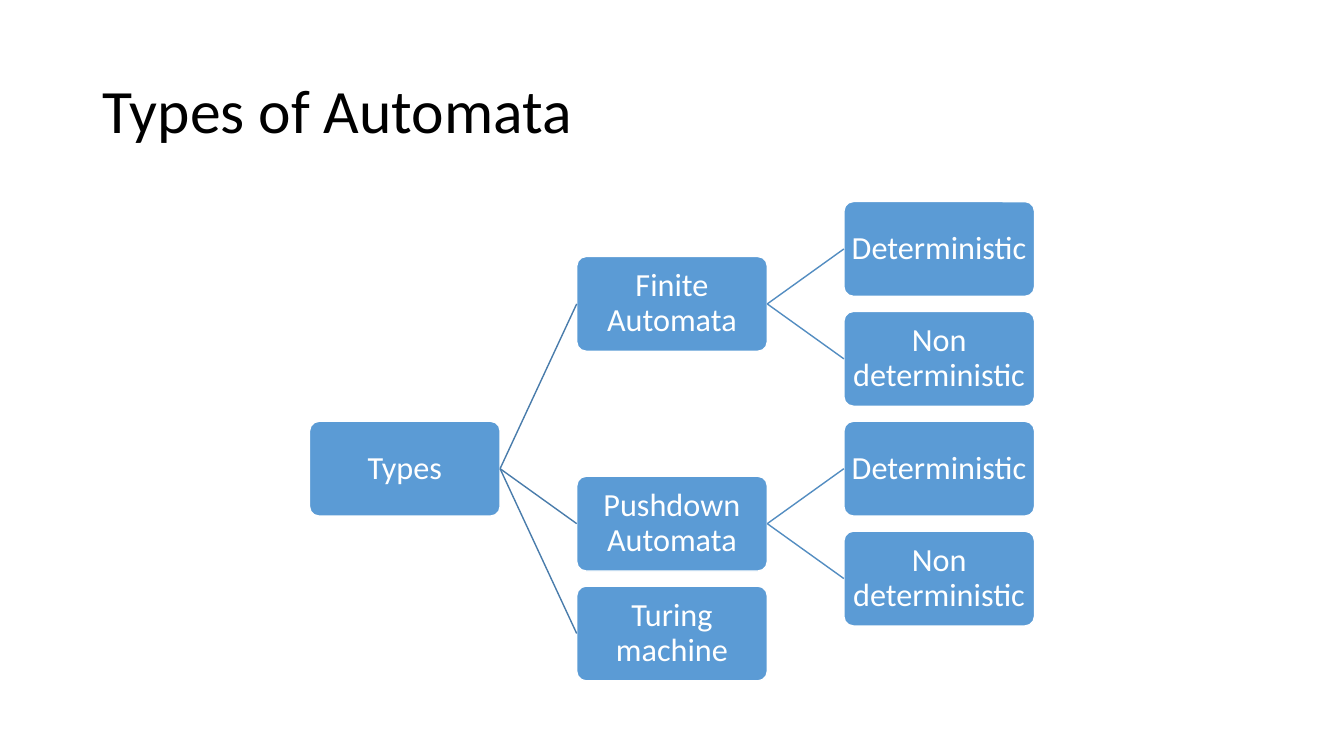
from lxml import etree
from pptx import Presentation
from pptx.dml.color import RGBColor
from pptx.enum.shapes import MSO_CONNECTOR, MSO_SHAPE
from pptx.enum.text import MSO_ANCHOR, PP_ALIGN
from pptx.oxml.ns import qn
from pptx.util import Inches, Pt

STRAIGHT = MSO_CONNECTOR.STRAIGHT
ROUNDED = MSO_SHAPE.ROUNDED_RECTANGLE
MIDDLE = MSO_ANCHOR.MIDDLE
LEFT, CENTER = PP_ALIGN.LEFT, PP_ALIGN.CENTER

BLACK = RGBColor(0x00, 0x00, 0x00)
WHITE = RGBColor(0xFF, 0xFF, 0xFF)
BLUE = RGBColor(0x5B, 0x9B, 0xD5)
LINKS = [RGBColor(0x49, 0x7C, 0xAB), RGBColor(0x53, 0x8D, 0xC1)]

LEFT_X, TOP_Y = 3.07, 2
COL_STEP, ROW_STEP = 2.65, 1.09
NODE_W, NODE_H = 1.89, 0.94
LEFT_SITE, RIGHT_SITE = 1, 3

FORKS = [("Deterministic", 0, []), ("Non deterministic", 1, [])]
LOWER = [(name, row + 2, kids) for name, row, kids in FORKS]
TREE = ("Types", 2, [
    ("Finite Automata", 0.5, FORKS),
    ("Pushdown Automata", 2.5, LOWER),
    ("Turing machine", 3.5, []),
])


def write(frame, text, size, color, align):
    frame.word_wrap = True
    frame.vertical_anchor = MIDDLE
    par = frame.paragraphs[0]
    par.text = text
    par.alignment = align
    par.line_spacing = 0.9
    par.font.name = "Calibri"
    par.font.size = Pt(size)
    par.font.color.rgb = color


def add_title(slide, text):
    box = slide.shapes.add_textbox(Inches(0.92), Inches(0.4), Inches(11.5), Inches(1.45))
    write(box.text_frame, text, 44, BLACK, LEFT)


def add_node(slide, text, col, row):
    node = slide.shapes.add_shape(
        ROUNDED, Inches(LEFT_X + col * COL_STEP), Inches(TOP_Y + row * ROW_STEP),
        Inches(NODE_W), Inches(NODE_H))
    node.adjustments[0] = 0.1
    node.shadow.inherit = False
    node.fill.solid()
    node.fill.fore_color.rgb = BLUE
    node.line.color.rgb = WHITE
    node.line.width = Pt(1)
    frame = node.text_frame
    frame.margin_left = frame.margin_right = Inches(0.04)
    frame.margin_top = frame.margin_bottom = Inches(0.04)
    write(frame, text, 23, WHITE, CENTER)
    return node


def add_link(slide, start, end, color):
    link = slide.shapes.add_connector(STRAIGHT, 0, 0, 0, 0)
    link.begin_connect(start, RIGHT_SITE)
    link.end_connect(end, LEFT_SITE)
    link.line.color.rgb = color
    link.line.width = Pt(1)
    etree.SubElement(link._element.spPr, qn("a:effectLst"))


def add_tree(slide, tree, col=0):
    name, row, kids = tree
    node = add_node(slide, name, col, row)
    for kid in kids:
        add_link(slide, node, add_tree(slide, kid, col + 1), LINKS[col])
    return node


def main():
    deck = Presentation()
    deck.slide_width, deck.slide_height = Inches(13.33), Inches(7.5)
    slide = deck.slides.add_slide(deck.slide_layouts[6])
    add_title(slide, "Types of Automata")
    add_tree(slide, TREE)
    deck.save("out.pptx")


if __name__ == "__main__":
    main()
